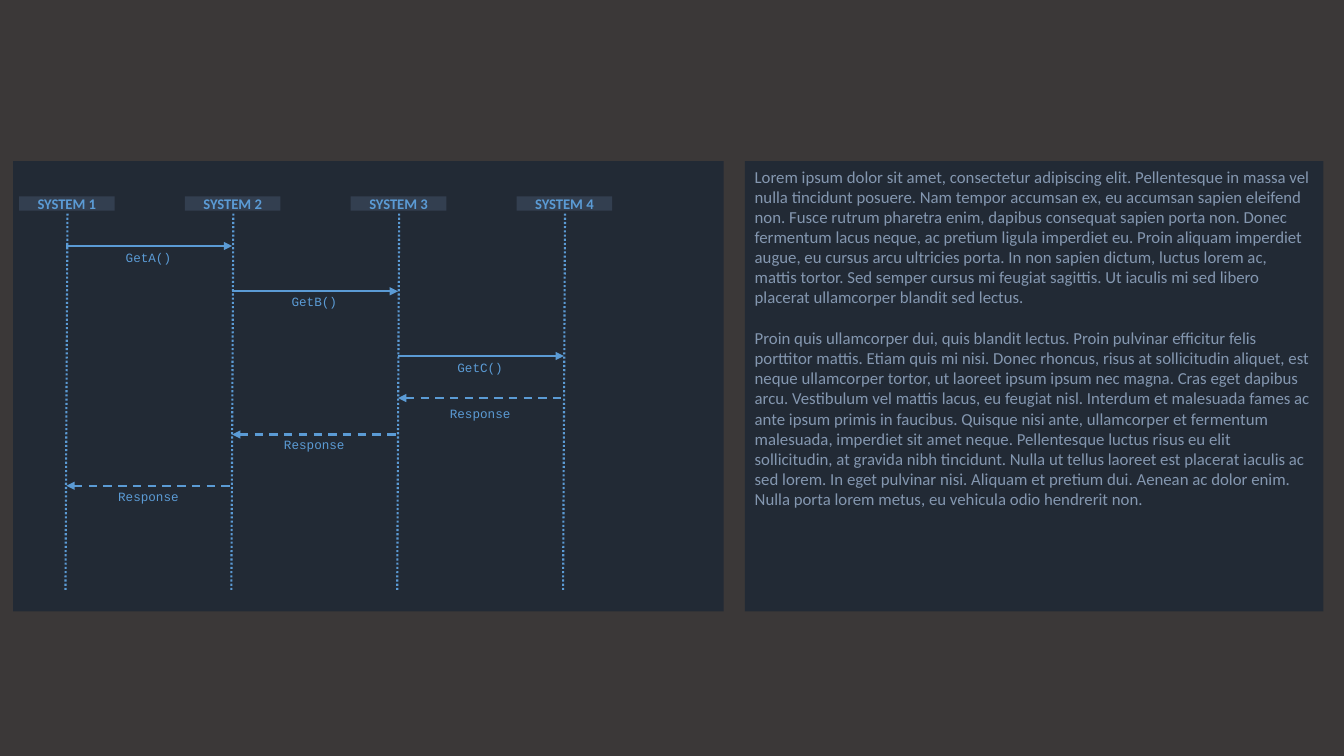
"""Build a slide with a sequence diagram beside a text panel."""
from lxml.etree import SubElement as add_node
from pptx import Presentation
from pptx.dml.color import RGBColor as Rgb
from pptx.enum.dml import MSO_LINE as Dash
from pptx.enum.shapes import MSO_CONNECTOR as Link, MSO_SHAPE as Form
from pptx.enum.text import MSO_ANCHOR as Anchor, PP_ALIGN as Align
from pptx.oxml.ns import qn
from pptx.util import Cm, Pt

COLORS = {"back": "3B3838", "panel": "222A35", "head": "333F50",
          "blue": "5B9BD5", "body": "8497B0"}
LOREM = [
    "Lorem ipsum dolor sit amet, consectetur adipiscing elit. Pellentesque in massa vel "
    "nulla tincidunt posuere. Nam tempor accumsan ex, eu accumsan sapien eleifend non. "
    "Fusce rutrum pharetra enim, dapibus consequat sapien porta non. Donec fermentum lacus "
    "neque, ac pretium ligula imperdiet eu. Proin aliquam imperdiet augue, eu cursus arcu "
    "ultricies porta. In non sapien dictum, luctus lorem ac, mattis tortor. Sed semper "
    "cursus mi feugiat sagittis. Ut iaculis mi sed libero placerat ullamcorper blandit sed "
    "lectus.",
    "Proin quis ullamcorper dui, quis blandit lectus. Proin pulvinar efficitur felis "
    "porttitor mattis. Etiam quis mi nisi. Donec rhoncus, risus at sollicitudin aliquet, "
    "est neque ullamcorper tortor, ut laoreet ipsum ipsum nec magna. Cras eget dapibus "
    "arcu. Vestibulum vel mattis lacus, eu feugiat nisl. Interdum et malesuada fames ac "
    "ante ipsum primis in faucibus. Quisque nisi ante, ullamcorper et fermentum malesuada, "
    "imperdiet sit amet neque. Pellentesque luctus risus eu elit sollicitudin, at gravida "
    "nibh tincidunt. Nulla ut tellus laoreet est placerat iaculis ac sed lorem. In eget "
    "pulvinar nisi. Aliquam et pretium dui. Aenean ac dolor enim. Nulla porta lorem metus, "
    "eu vehicula odio hendrerit non.",
]
CALLS = [("GetA()", 0, 6.2, 6.22), ("GetB()", 1, 7.34, 7.32), ("GetC()", 2, 8.97, 8.99),
         ("Response", 2, 10.03, 10.13), ("Response", 1, 10.95, 10.92),
         ("Response", 0, 12.24, 12.24)]
STEP = 4.18


def put_text(text, home, box, fill=None, font="Calibri", size=12, color="blue",
             bold=False, align=Align.CENTER, anchor=Anchor.MIDDLE, pad=0, gap=0):
    spot = [Cm(n) for n in box]
    if fill:
        shape = home.add_shape(Form.RECTANGLE, *spot)
        shape.shadow.inherit = False
        shape.fill.solid()
        shape.fill.fore_color.rgb = Rgb.from_string(COLORS[fill])
        shape.line.fill.background()
    else:
        shape = home.add_textbox(*spot)
    frame = shape.text_frame
    frame.word_wrap = True
    frame.vertical_anchor = anchor
    frame.margin_top = frame.margin_bottom = Cm(pad)
    frame.text = text
    for row, para in enumerate(frame.paragraphs):
        para.alignment = align
        para.space_before = Pt(gap if row else 0)
        para.font.name = font
        para.font.size = Pt(size)
        para.font.bold = bold
        para.font.color.rgb = Rgb.from_string(COLORS[color])


def put_line(home, ends, dash=None, tip=None):
    link = home.add_connector(Link.STRAIGHT, *[Cm(n) for n in ends])
    link.line.width = Pt(1.5)
    link.line.color.rgb = Rgb.from_string(COLORS["blue"])
    if dash:
        link.line.dash_style = dash
    if tip:
        add_node(link.line._get_or_add_ln(), qn(tip), type="triangle")
    add_node(link._element.spPr, qn("a:effectLst"))


deck = Presentation()
deck.slide_width, deck.slide_height = Cm(33.87), Cm(19.05)
slide = deck.slides.add_slide(deck.slide_layouts[6])
slide.background.fill.solid()
slide.background.fill.fore_color.rgb = Rgb.from_string(COLORS["back"])
shapes = slide.shapes

put_text("", shapes, (0.33, 4.06, 17.91, 11.35), fill="panel")
put_text("\n".join(LOREM), shapes, (18.77, 4.06, 14.58, 11.35), fill="panel",
         color="body", align=Align.LEFT, anchor=Anchor.TOP, pad=0.13, gap=14.5)

for col in range(4):
    left = col * STEP
    group = shapes.add_group_shape().shapes
    put_line(group, (left + 1.7, 5.38, left + 1.65, 14.88), dash=Dash.ROUND_DOT)
    put_text(f"SYSTEM {col + 1}", group, (left + 0.48, 4.95, 2.41, 0.36),
             fill="head", size=10.5, bold=True)

for name, col, level, top in CALLS:
    left = col * STEP + 1.67
    reply = name == "Response"
    put_line(shapes, (left, level, left + STEP, level),
             dash=Dash.DASH if reply else None,
             tip="a:headEnd" if reply else "a:tailEnd")
    put_text(name, shapes, (left, top, 4.14, 0.56), font="Courier New", size=9)

deck.save("out.pptx")
